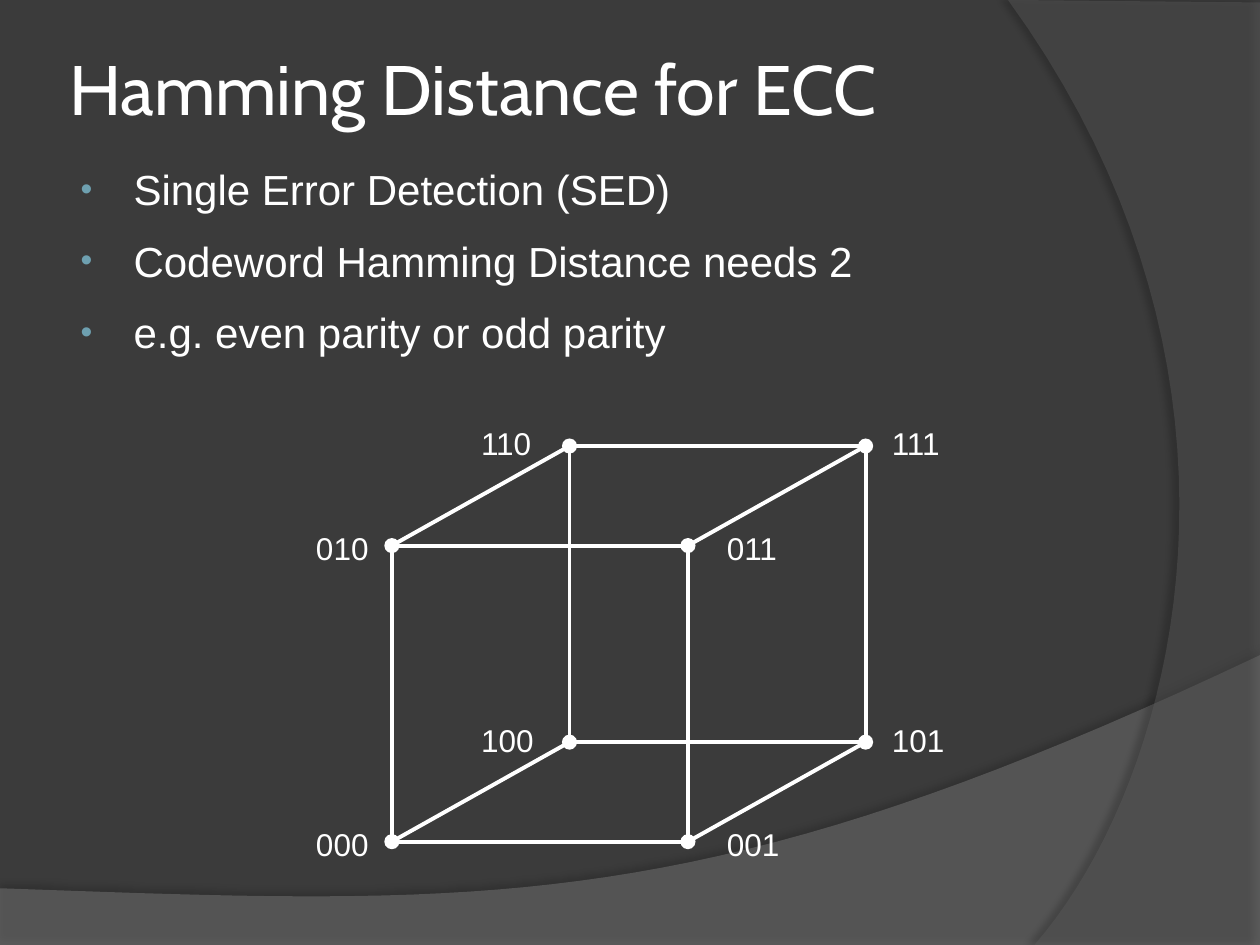
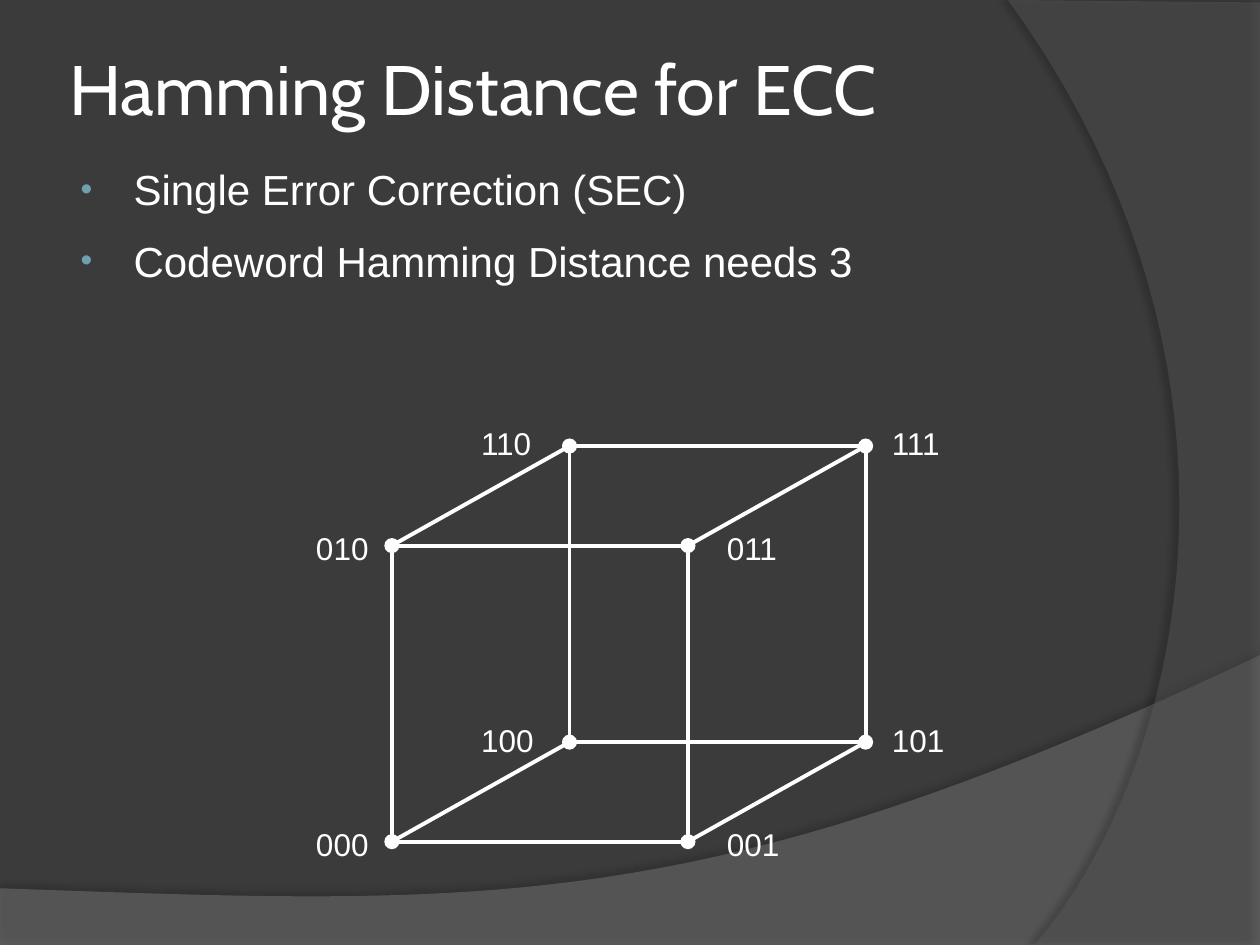
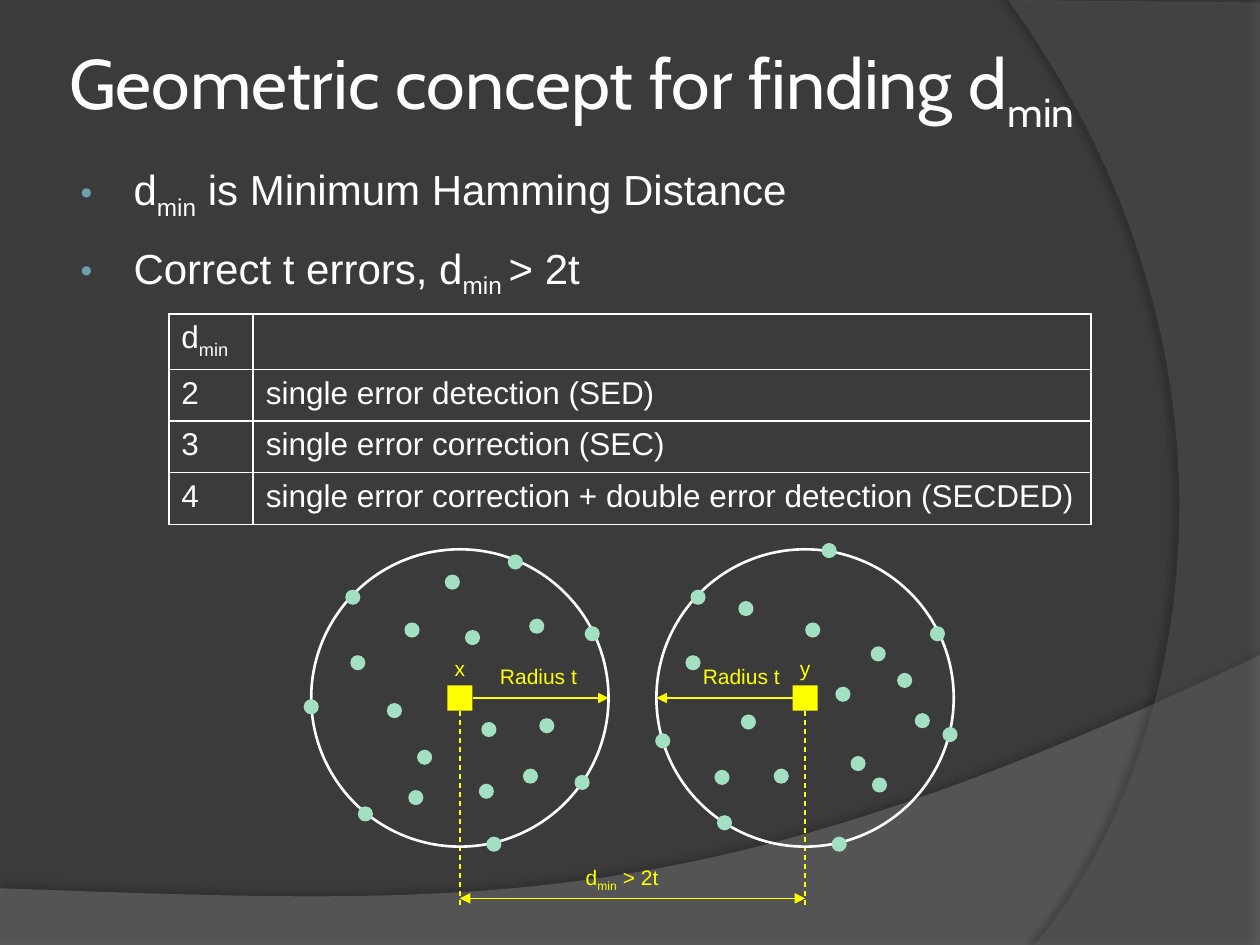
from dataclasses import dataclass
from itertools import combinations, product

from lxml import etree
from pptx import Presentation
from pptx import util as u
from pptx.dml.color import RGBColor
from pptx.enum import dml, shapes, text
from pptx.oxml.ns import qn


@dataclass(frozen=True)
class Theme:
    back: str = "3B3B3B"
    ink: str = "FFFFFF"
    bullet: str = "6EA0B0"
    accent: str = "FFFF00"
    dot: str = "A3E0C2"
    heading_font: str = "Cabin"
    body_font: str = "Arial"
    title: int = 40
    body: int = 24
    label: int = 18
    small: int = 12


theme = Theme()
rgb = RGBColor.from_string


def write(para, wording, *, size, color=theme.ink, font=theme.body_font):
    for index, part in enumerate(wording.split("|")):
        if not part:
            continue
        span = para.add_run()
        span.text = part
        span.font.size = u.Pt(size)
        span.font.name = font
        span.font.color.rgb = rgb(color)
        if index % 2:
            span._r.get_or_add_rPr().set("baseline", "-25000")


def add_xml(parent, tag, **attributes):
    element = etree.SubElement(parent, qn(tag))
    for name, value in attributes.items():
        element.set(name, str(value))
    return element


DOT = 0.12
OVAL = shapes.MSO_SHAPE.OVAL
SQUARE = shapes.MSO_SHAPE.RECTANGLE

corners = {}
cube_labels = []
for z, y, x in product((0, 1), repeat=3):
    corners[z, y, x] = (3.11 + 2.35 * x + 1.41 * z, 6.68 - 2.35 * y - 0.79 * z)
    cube_labels.append((f"{z}{y}{x}", 2.41 + 3.26 * x + 1.31 * z,
                        6.5 - 2.35 * y - 0.83 * z, 0.67, 0.4, theme.label, theme.ink))
cube_lines = [
    (corners[a], corners[b], theme.ink, 2.25, False, "")
    for a, b in combinations(corners, 2)
    if sum(p != q for p, q in zip(a, b)) == 1
]
cube_marks = [(OVAL, x - DOT / 2, y - DOT / 2, DOT, theme.ink, None)
              for x, y in corners.values()]
cube = dict(lines=cube_lines, marks=cube_marks, labels=cube_labels)

RADIUS = 1.18
CENTER_Y = 5.54
spheres = [
    ("x", 3.65, 1, 3.87, [
        (3.69, 5), (4.2, 4.91), (4.64, 4.97), (4.03, 4.4), (2.74, 4.68), (2.41, 5.55),
        (2.84, 6.4), (3.86, 6.64), (4.56, 6.15), (3.53, 4.56), (2.78, 5.2), (3.07, 5.58),
        (3.24, 6.27), (3.31, 5.95), (3.8, 6.22), (3.82, 5.73), (4.15, 6.1), (4.28, 5.7),
        (3.21, 4.94)]),
    ("y", 6.39, -1, 5.48, [
        (6.39, 4.94), (6.91, 5.13), (7.38, 4.97), (6.52, 4.31), (5.48, 4.68), (5.2, 5.82),
        (5.69, 6.47), (6.6, 6.64), (7.48, 5.77), (5.44, 5.2), (5.88, 5.67), (5.67, 6.11),
        (6.14, 6.1), (6.75, 6), (6.63, 5.45), (7.26, 5.66), (7.12, 5.34), (5.86, 4.77),
        (6.92, 6.17)]),
]
sphere_lines = [((3.65, 7.13), (6.39, 7.13), theme.accent, 0.75, False, "both")]
sphere_marks = []
sphere_labels = [("d|min| > 2t", 4.55, 6.81, 0.92, 0.3, theme.small, theme.accent)]
for name, center, side, radius_left, dots in spheres:
    sphere_lines += [
        ((center + 0.1 * side, CENTER_Y), (center + RADIUS * side, CENTER_Y),
         theme.accent, 0.75, False, "end"),
        ((center, 5.64), (center, 7.21), theme.accent, 0.75, True, ""),
    ]
    sphere_marks += [
        (OVAL, center - RADIUS, CENTER_Y - RADIUS, 2 * RADIUS, None, theme.ink),
        (SQUARE, center - 0.1, CENTER_Y - 0.1, 0.2, theme.accent, None),
    ]
    sphere_marks += [(OVAL, left, top, DOT, theme.dot, None) for left, top in dots]
    sphere_labels += [
        (name, center - 0.14, 5.15, 0.33, 0.3, theme.small, theme.accent),
        ("Radius t", radius_left, 5.22, 0.87, 0.3, theme.small, theme.accent),
    ]

lessons = [
    dict(title="Hamming Distance for ECC",
         bullets=["Single Error Detection (SED)", "Codeword Hamming Distance needs 2",
                  "e.g. even parity or odd parity"], **cube),
    dict(title="Hamming Distance for ECC",
         bullets=["Single Error Correction (SEC)", "Codeword Hamming Distance needs 3"], **cube),
    dict(title="Geometric concept for finding d|min|",
         bullets=["d|min| is Minimum Hamming Distance", "Correct t errors, d|min |> 2t"],
         lines=sphere_lines, marks=sphere_marks, labels=sphere_labels),
]

deck = Presentation()
deck.slide_width, deck.slide_height = u.Inches(10), u.Inches(7.5)
master = deck.slide_master
master.background.fill.solid()
master.background.fill.fore_color.rgb = rgb(theme.back)
layout = deck.slide_layouts[1]
for holder, place in zip(layout.placeholders, [(0.5, 0.3, 9, 0.79), (0.5, 1.25, 9, 5.65)]):
    holder.left, holder.top, holder.width, holder.height = map(u.Inches, place)
pages = [deck.slides.add_slide(layout) for _ in lessons]

bands = [
    ("7F7F7F", 45, [(0, 7.5), (10, 7.5)],
     [(10, 5.2), (5.59, 7.29), (3.91, 7.19), (0, 7.05)], (35, 3.5, 270)),
    ("5E5E5E", 40, [(10, 0.02), (10, 7.5)],
     [(8.21, 7.5), (9.35, 6.19), (10.18, 3), (8, 0)], (45, 4, 180)),
]
STEPS = 40
for index, (color, opacity, outline, curve, shadow) in enumerate(bands):
    points = list(outline)
    for step in range(STEPS + 1):
        t = step / STEPS
        weights = ((1 - t) ** 3, 3 * t * (1 - t) ** 2, 3 * t * t * (1 - t), t ** 3)
        points.append(tuple(sum(w * p[axis] for w, p in zip(weights, curve)) for axis in (0, 1)))
    points = [(u.Inches(x), u.Inches(y)) for x, y in points]
    builder = pages[0].shapes.build_freeform(*points[0])
    builder.add_line_segments(points[1:], close=True)
    band = builder.convert_to_shape()
    band.fill.solid()
    band.fill.fore_color.rgb = rgb(color)
    band.line.fill.background()
    band.shadow.inherit = False
    properties = band.element.spPr
    add_xml(properties.find(".//" + qn("a:srgbClr")), "a:alpha", val=opacity * 1000)
    strength, distance, angle = shadow
    glow = add_xml(properties.find(qn("a:effectLst")), "a:outerShdw", blurRad=u.Pt(4),
                   dist=u.Pt(distance), dir=angle * 60000, algn="ctr", rotWithShape=0)
    add_xml(add_xml(glow, "a:srgbClr", val="000000"), "a:alpha", val=strength * 1000)
    band.element.nvSpPr.cNvPr.set("id", str(20 + index))
    master.shapes.element.insert(2 + index, band.element)

for page, lesson in zip(pages, lessons):
    title, body = page.placeholders
    frame = title.text_frame
    frame.margin_left = frame.margin_right = u.Inches(0.05)
    frame.vertical_anchor = text.MSO_ANCHOR.MIDDLE
    para = frame.paragraphs[0]
    para.alignment = text.PP_ALIGN.LEFT
    write(para, lesson["title"], size=theme.title, font=theme.heading_font)

    frame = body.text_frame
    for index, bullet in enumerate(lesson["bullets"]):
        para = frame.add_paragraph() if index else frame.paragraphs[0]
        layout_marks = para._p.get_or_add_pPr()
        layout_marks.set("marL", str(u.Inches(0.46)))
        layout_marks.set("indent", str(u.Inches(-0.42)))
        add_xml(add_xml(layout_marks, "a:buClr"), "a:srgbClr", val=theme.bullet)
        add_xml(layout_marks, "a:buSzPct", val=80000)
        add_xml(layout_marks, "a:buFont", typeface=theme.body_font)
        add_xml(layout_marks, "a:buChar", char="•")
        para.space_before = u.Pt(12 if index else 0)
        write(para, bullet, size=theme.body)

    for start, end, color, width, dashed, arrows in lesson["lines"]:
        line = page.shapes.add_connector(
            shapes.MSO_CONNECTOR.STRAIGHT, *map(u.Inches, start + end))
        line.line.color.rgb = rgb(color)
        line.line.width = u.Pt(width)
        if dashed:
            line.line.dash_style = dml.MSO_LINE.DASH
        stroke = line.line._get_or_add_ln()
        if arrows == "both":
            add_xml(stroke, "a:headEnd", type="triangle")
        if arrows:
            add_xml(stroke, "a:tailEnd", type="triangle")
        add_xml(line.element.spPr, "a:effectLst")

    for kind, left, top, size, fill, outline in lesson["marks"]:
        mark = page.shapes.add_shape(kind, *map(u.Inches, (left, top, size, size)))
        mark.shadow.inherit = False
        if fill:
            mark.fill.solid()
            mark.fill.fore_color.rgb = rgb(fill)
        else:
            mark.fill.background()
        if outline:
            mark.line.color.rgb = rgb(outline)
            mark.line.width = u.Pt(1.5)
        else:
            mark.line.fill.background()

    for wording, left, top, width, height, size, color in lesson["labels"]:
        box = page.shapes.add_textbox(*map(u.Inches, (left, top, width, height)))
        box.text_frame.word_wrap = True
        box.text_frame.auto_size = text.MSO_AUTO_SIZE.SHAPE_TO_FIT_TEXT
        write(box.text_frame.paragraphs[0], wording, size=size, color=color)

distances = [
    ("d|min|", ""),
    ("2", "single error detection (SED)"),
    ("3", "single error correction (SEC)"),
    ("4", "single error correction + double error detection (SECDED)"),
]
table = pages[2].shapes.add_table(
    len(distances), 2, *map(u.Inches, (1.34, 2.49, 7.32, 1.62))).table
table.first_row = table.horz_banding = False
table.columns[0].width, table.columns[1].width = u.Inches(0.67), u.Inches(6.65)
for row, wordings in zip(table.rows, distances):
    row.height = u.Inches(0.41)
    for cell, wording in zip(row.cells, wordings):
        borders = cell._tc.get_or_add_tcPr()
        for edge in ("a:lnL", "a:lnR", "a:lnT", "a:lnB"):
            border = add_xml(borders, edge, w=u.Pt(1))
            add_xml(add_xml(border, "a:solidFill"), "a:srgbClr", val=theme.ink)
        cell.fill.background()
        write(cell.text_frame.paragraphs[0], wording, size=theme.label)

deck.save("out.pptx")
